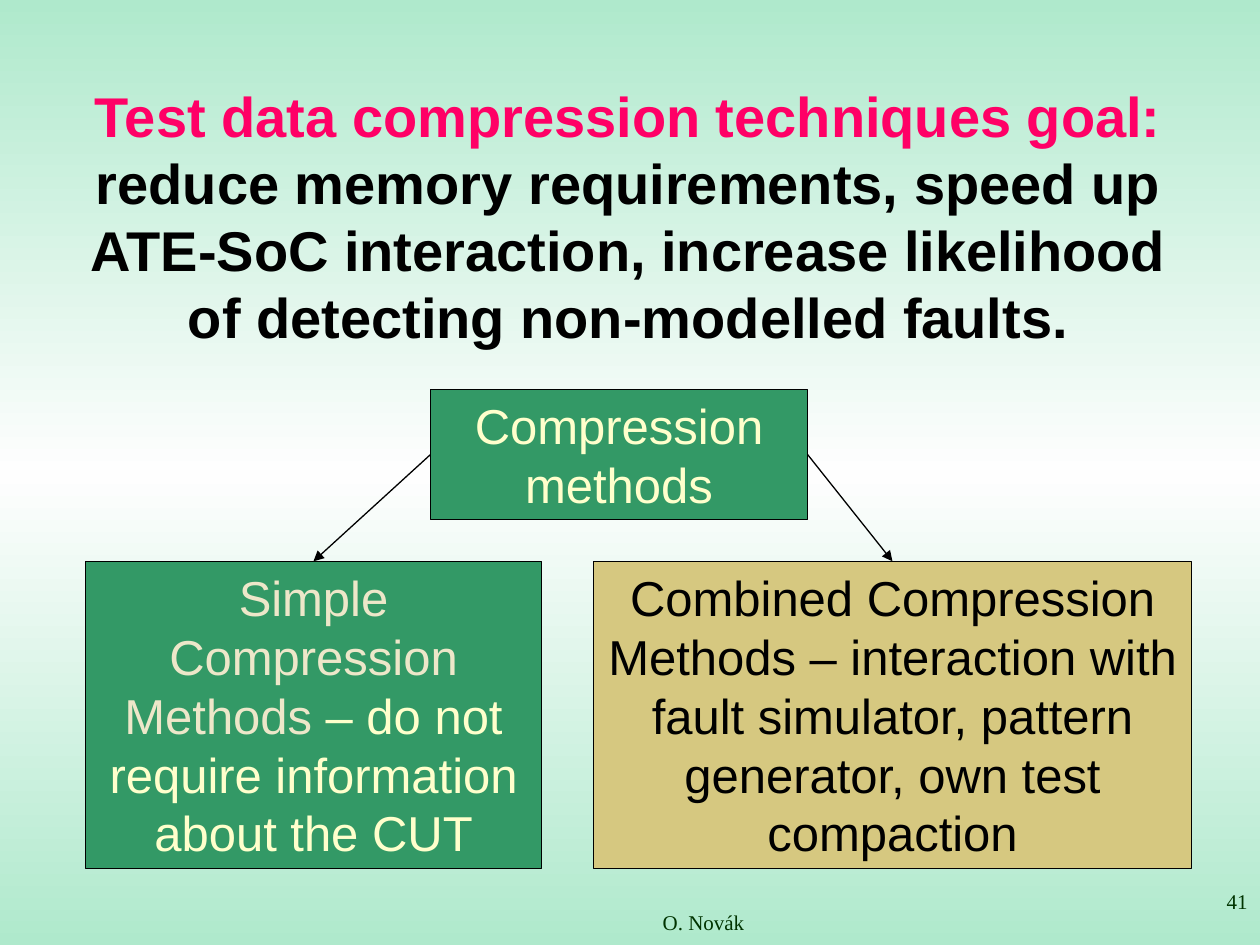
from copy import deepcopy
from typing import NamedTuple

from pptx import Presentation
from pptx.dml.color import RGBColor
from pptx.enum.shapes import MSO_CONNECTOR, MSO_SHAPE
from pptx.enum.text import MSO_ANCHOR, PP_ALIGN
from pptx.oxml.ns import qn
from pptx.oxml.xmlchemy import OxmlElement
from pptx.util import Pt

BLACK, GREEN, CREAM = "000000", "339966", "FFFFCC"


class Run(NamedTuple):
    text: str
    color: str


class Area(NamedTuple):
    x: float
    y: float
    w: float
    h: float


class Box(NamedTuple):
    area: Area
    fill: str
    runs: list[Run]


class Label(NamedTuple):
    area: Area
    runs: list[Run]
    size: float
    font: str
    align: PP_ALIGN
    anchor: MSO_ANCHOR = MSO_ANCHOR.TOP
    bold: bool = False


def rgb(value: str) -> RGBColor:
    return RGBColor.from_string(value)


def write(sp, runs: list[Run], size: float, font: str, align: PP_ALIGN,
          anchor: MSO_ANCHOR, bold: bool = False) -> None:
    tf = sp.text_frame
    tf.word_wrap = True
    tf.vertical_anchor = anchor
    p = tf.paragraphs[0]
    p.alignment = align
    for run in runs:
        r = p.add_run()
        r.text = run.text
        r.font.name = font
        r.font.size = Pt(size)
        r.font.bold = bold
        r.font.color.rgb = rgb(run.color)


def add_label(s, label: Label) -> None:
    sp = s.shapes.add_textbox(*map(Pt, label.area))
    write(sp, *label[1:])


def add_box(s, box: Box) -> None:
    sp = s.shapes.add_shape(MSO_SHAPE.RECTANGLE, *map(Pt, box.area))
    sp.shadow.inherit = False
    sp.fill.solid()
    sp.fill.fore_color.rgb = rgb(box.fill)
    sp.line.color.rgb = rgb(BLACK)
    sp.line.width = Pt(0.75)
    write(sp, box.runs, 28, "Arial", PP_ALIGN.CENTER, MSO_ANCHOR.TOP)


def add_arrow(s, x: float, source: Area, target: Area) -> None:
    ends = (x, source.y + source.h / 2, target.x + target.w / 2, target.y)
    c = s.shapes.add_connector(MSO_CONNECTOR.STRAIGHT, *map(Pt, ends))
    c.line.color.rgb = rgb(BLACK)
    c.line.width = Pt(0.75)
    tail = OxmlElement("a:tailEnd")
    tail.set("type", "triangle")
    c.line._get_or_add_ln().append(tail)
    c._element.spPr.append(OxmlElement("a:effectLst"))


def paint_background(s, edge: str, middle: str) -> None:
    fill = s.background.fill
    fill.gradient()
    fill.gradient_angle = 270
    first = next(s._element.iter(qn("a:gs")))
    first.addnext(deepcopy(first))
    for stop, position, color in zip(fill.gradient_stops, (0, 0.5, 1), (edge, middle, edge)):
        stop.position = position
        stop.color.rgb = rgb(color)


TITLE = Label(Area(37.5, 42.5, 643.5, 161), [
    Run("Test data compression techniques goal: ", "FF0066"),
    Run("reduce memory requirements, speed up ATE-SoC interaction, "
        "increase likelihood of detecting non-modelled faults.", BLACK),
], 32, "Arial", PP_ALIGN.CENTER, MSO_ANCHOR.BOTTOM, True)
AUTHOR = Label(Area(288, 516, 228, 18), [Run("O. Novák", "003300")],
               12, "Times New Roman", PP_ALIGN.CENTER)
NUMBER = Label(Area(570, 504, 150, 36), [Run("41", "003300")],
               12, "Times New Roman", PP_ALIGN.RIGHT)

METHODS = Box(Area(246, 222.5, 215.5, 74.5), GREEN, [Run("Compression methods", CREAM)])
SIMPLE = Box(Area(48.75, 320.75, 260.75, 175.5), GREEN, [
    Run("Simple Compression Methods", "EDE7C9"),
    Run(" – do not require information about the CUT", CREAM),
])
COMBINED = Box(Area(339, 320.75, 342, 175.5), "D6C880", [
    Run("Combined Compression Methods – interaction with fault simulator, "
        "pattern generator, own test compaction", BLACK),
])


def main() -> None:
    prs = Presentation()
    prs.slide_width, prs.slide_height = Pt(720), Pt(540)
    s = prs.slides.add_slide(prs.slide_layouts[6])
    paint_background(s, "AFE9CC", "FEFEFE")
    add_label(s, TITLE)
    for box in (METHODS, SIMPLE, COMBINED):
        add_box(s, box)
    top = METHODS.area
    add_arrow(s, top.x, top, SIMPLE.area)
    add_arrow(s, top.x + top.w, top, COMBINED.area)
    for label in (AUTHOR, NUMBER):
        add_label(s, label)
    prs.save("out.pptx")


if __name__ == "__main__":
    main()
